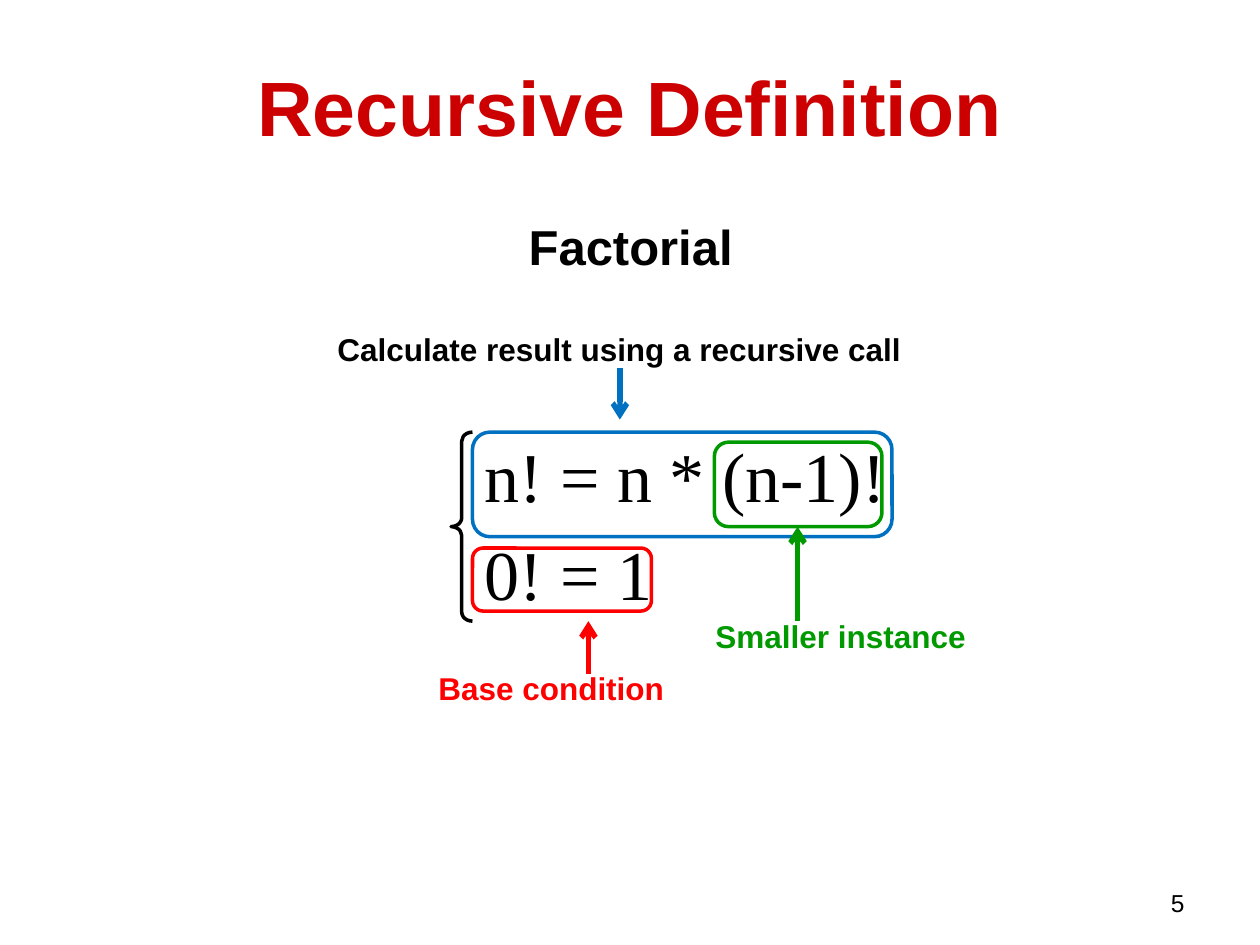
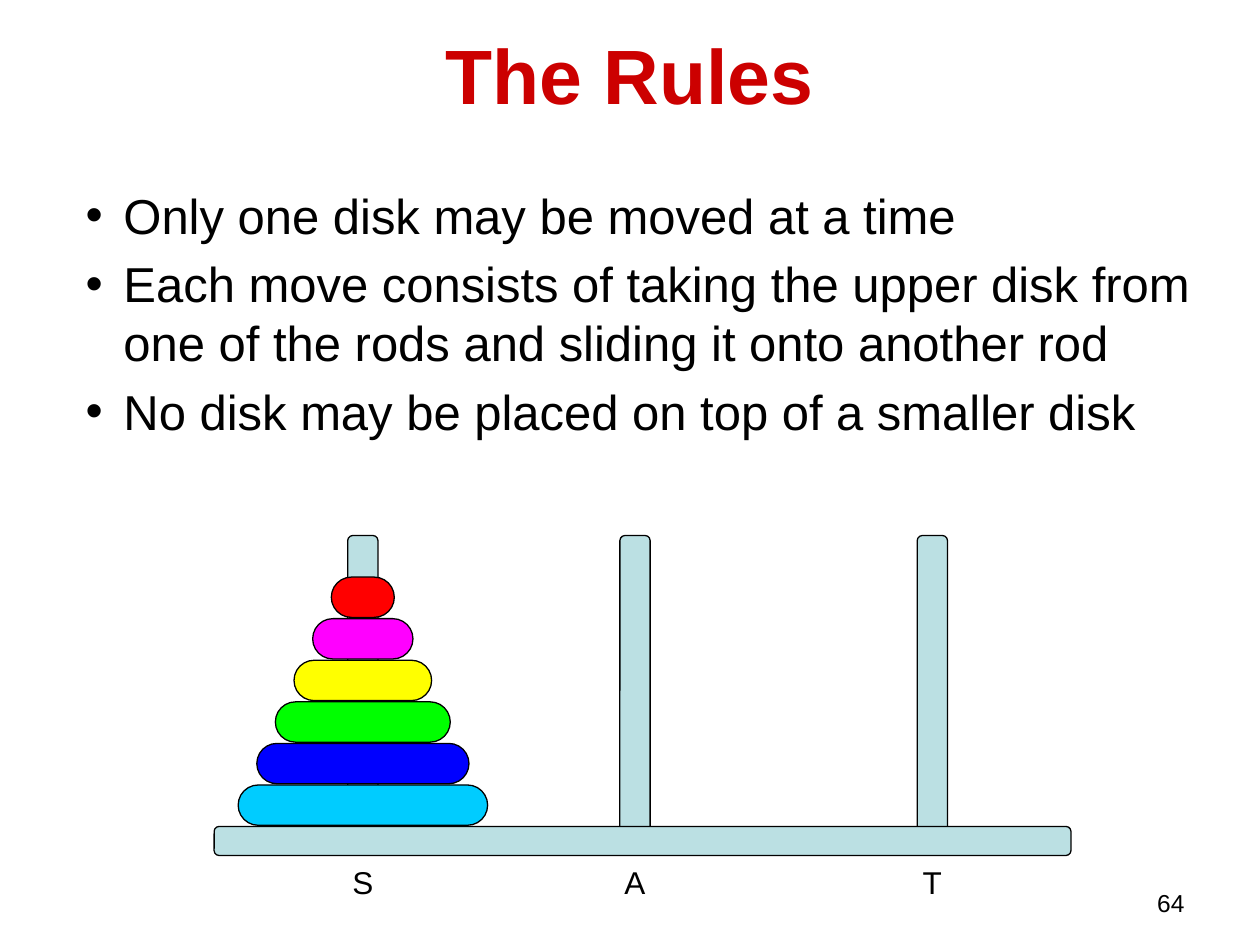
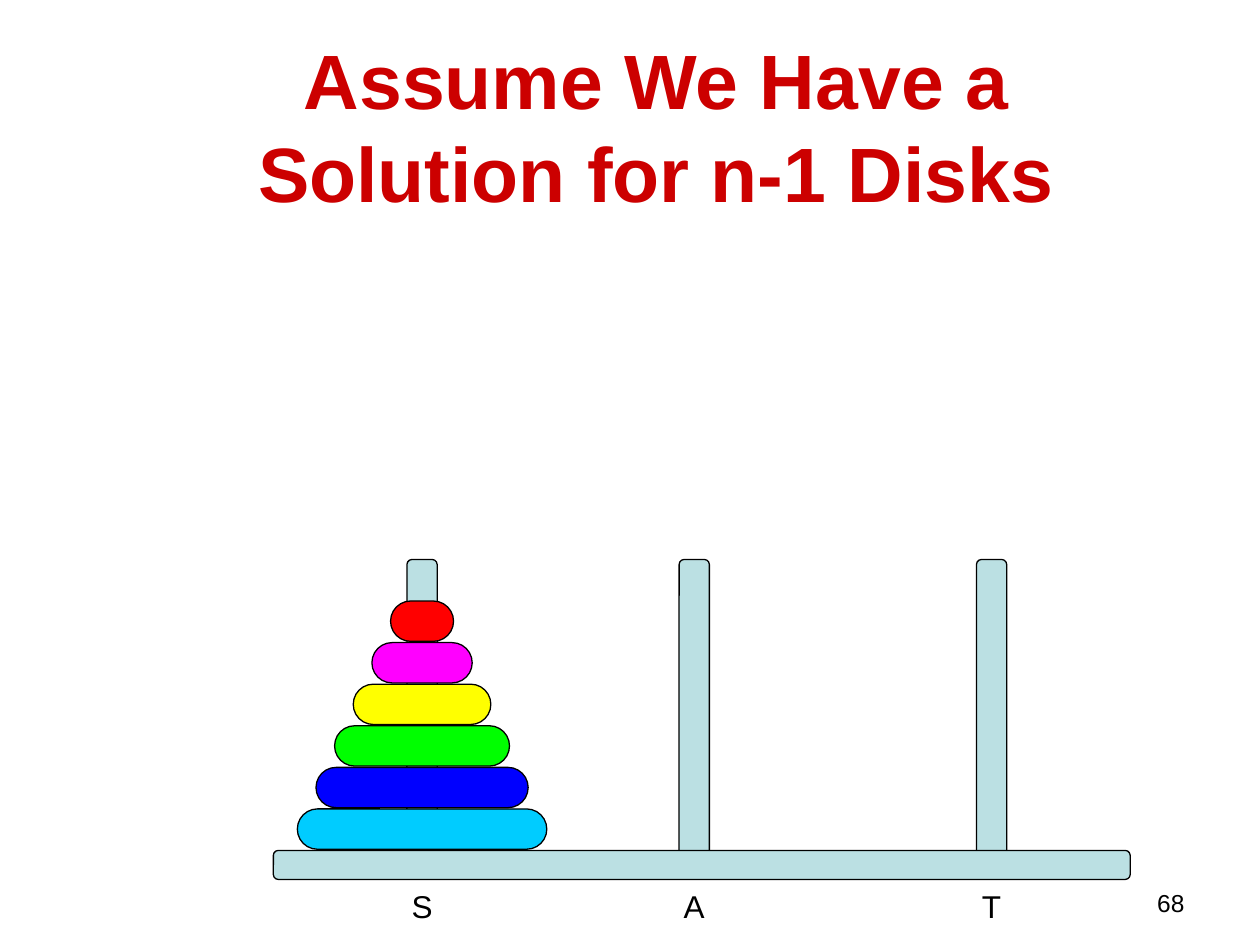
from pptx import Presentation
from pptx.dml.color import RGBColor
from pptx.enum import shapes, text
from pptx.oxml import parse_xml
from pptx.oxml.ns import nsdecls
from pptx.util import Inches, Pt

# Shared style
BLACK, TITLE_RED = "000000", "CC0000"
BLUE, RED, GREEN = "0070C0", "FF0000", "009A00"
WOOD = "BBE0E3"
SANS, SERIF = "Arial", "Times New Roman"
LEFT, CENTER, RIGHT = text.PP_ALIGN.LEFT, text.PP_ALIGN.CENTER, text.PP_ALIGN.RIGHT
TITLE_ONLY, TITLE_AND_BODY = 5, 1
NUMBER_PLACE = (7.17, 7, 2.33, 0.25)

# Content: recursive definition
FORMULA = ["n! = n * (n-1)!", "0! = 1"]
LABELS = [  # wording, place, size, colour, alignment
    ("Factorial", (3.92, 1.67, 2.17, 0.5), 28, BLACK, CENTER),
    ("Calculate result using a recursive call", (2.54, 2.57, 4.75, 0.4), 18, BLACK, CENTER),
    ("Base condition", (3.25, 5.26, 2.25, 0.4), 18, RED, CENTER),
    ("Smaller instance", (5.58, 4.85, 2.25, 0.4), 18, GREEN, LEFT),
]
FRAMES = [
    ((3.75, 3.43, 3.33, 0.83), BLUE),
    ((3.75, 4.35, 1.42, 0.5), RED),
    ((5.67, 3.51, 1.33, 0.67), GREEN),
]
ARROWS = [  # x, start y, end y, colour
    (6.33, 4.93, 4.18, GREEN),
    (4.92, 2.92, 3.33, BLUE),
    (4.67, 5.35, 4.93, RED),
]

# Content: towers
RULES = [
    "Only one disk may be moved at a time",
    "Each move consists of taking the upper disk from one of the rods "
    "and sliding it onto another rod",
    "No disk may be placed on top of a smaller disk",
]
RODS = [("S", 1.18), ("A", 3.34), ("T", 5.7)]  # name, centre from the base's left end
ROD_LENGTH, ROD_WIDTH, ROD_SUNK = 2.45, 0.24, 0.14
BASE_SIZE = (6.8, 0.23)
DISKS = ["00CCFF", "0000FF", "00FF00", "FFFF00", "FF00FF", "FF0000"]  # bottom to top
WIDEST, NARROWEST, DISK_HEIGHT, DISK_PITCH = 1.98, 0.5, 0.32, 0.33


def rgb(value):
    return RGBColor.from_string(value)


def inches(place):
    return [Inches(value) for value in place]


def write(box, lines, size, color=BLACK, align=LEFT, bold=False, font=SANS, gap=0):
    """Fill a shape with formatted paragraphs; gap separates them in points."""
    frame = box.text_frame
    frame.word_wrap = True
    frame.auto_size = text.MSO_AUTO_SIZE.NONE
    frame.text = "\n".join(lines)
    for index, para in enumerate(frame.paragraphs):
        para.alignment = align
        para.space_before = Pt(gap if index else 0)
        for span in para.runs:
            span.font.name, span.font.size, span.font.bold = font, Pt(size), bold
            span.font.color.rgb = rgb(color)


def add_text(page, place, lines, size, **style):
    box = page.shapes.add_textbox(*inches(place))
    write(box, lines, size, **style)
    return box


def add_page(layout, title, place, number):
    page = deck.slides.add_slide(deck.slide_layouts[layout])
    heading = page.shapes.title
    heading.left, heading.top, heading.width, heading.height = inches(place)
    write(heading, [title], 44, color=TITLE_RED, align=CENTER, bold=True)
    heading.text_frame.vertical_anchor = text.MSO_ANCHOR.MIDDLE
    add_text(page, NUMBER_PLACE, [number], 14, align=RIGHT)
    return page


def add_outline(page, kind, place, line, weight, fill=None, adjust=()):
    shape = page.shapes.add_shape(kind, *inches(place))
    shape.shadow.inherit = False
    for index, value in enumerate(adjust):
        shape.adjustments[index] = value
    if fill:
        shape.fill.solid()
        shape.fill.fore_color.rgb = rgb(fill)
    else:
        shape.fill.background()
    shape.line.color.rgb = rgb(line)
    shape.line.width = Pt(weight)
    return shape


def add_arrow(page, x, start, end, color):
    arrow = page.shapes.add_connector(
        shapes.MSO_CONNECTOR.STRAIGHT, *inches((x, start, x, end)))
    arrow.line.color.rgb = rgb(color)
    arrow.line.width = Pt(3)
    arrow.line._get_or_add_ln().append(
        parse_xml(f'<a:tailEnd {nsdecls("a")} type="arrow"/>'))
    arrow._element.spPr.append(parse_xml(f'<a:effectLst {nsdecls("a")}/>'))


def add_towers(page, left, top):
    """Draw rods, base, disks and rod names; left and top locate the base."""
    def part(place, fill, rounding=0.167):
        return add_outline(page, shapes.MSO_SHAPE.ROUNDED_RECTANGLE, place,
                           BLACK, 0.75, fill, [rounding])

    # Rods are horizontal bars turned upright about their centre
    middle = top + ROD_SUNK - ROD_LENGTH / 2
    for name, offset in RODS:
        rod = part((left + offset - ROD_LENGTH / 2, middle - ROD_WIDTH / 2,
                    ROD_LENGTH, ROD_WIDTH), WOOD)
        rod.rotation = 270
        add_text(page, (left + offset - 0.38, top + 0.24, 0.76, 0.4), [name], 18,
                 align=CENTER)
    part((left, top, *BASE_SIZE), WOOD)

    center = left + RODS[0][1]
    step = (WIDEST - NARROWEST) / (len(DISKS) - 1)
    for level, color in enumerate(DISKS):
        width = WIDEST - level * step
        part((center - width / 2, top - (level + 1) * DISK_PITCH, width, DISK_HEIGHT),
             color, 0.5)


deck = Presentation()
deck.slide_width, deck.slide_height = Inches(10), Inches(7.5)

# Recursive definition
page = add_page(TITLE_ONLY, "Recursive Definition", (0.5, 0.25, 9, 1.17), "5")
formula = add_text(page, (3.75, 2.93, 3.75, 1.45), FORMULA, 40, font=SERIF, gap=8)
formula.text_frame.margin_top = Inches(0.5)
add_outline(page, shapes.MSO_SHAPE.LEFT_BRACE, (3.58, 3.43, 0.17, 1.5), BLACK, 2,
            adjust=(0.417, 0.5))
for wording, place, size, color, align in LABELS:
    add_text(page, place, [wording], size, color=color, align=align, bold=True)
for place, color in FRAMES:
    add_outline(page, shapes.MSO_SHAPE.ROUNDED_RECTANGLE, place, color, 2)
for arrow in ARROWS:
    add_arrow(page, *arrow)

# Rules
page = add_page(TITLE_AND_BODY, "The Rules", (0.5, 0, 9, 1.17), "64")
body = page.placeholders[1]
body.left, body.top, body.width, body.height = inches((0.58, 1.42, 9, 5.75))
write(body, RULES, 28, gap=5.6)
for para in body.text_frame.paragraphs:
    props = para._p.get_or_add_pPr()
    props.set("marL", str(Inches(0.3)))
    props.set("indent", str(-Inches(0.3)))
add_towers(page, 1.7, 6.56)

# Smaller problem
page = add_page(TITLE_ONLY, "Assume We Have a Solution for n-1 Disks",
                (1.25, 0.33, 7.92, 1.33), "68")
add_towers(page, 2.17, 6.75)

deck.save("out.pptx")
